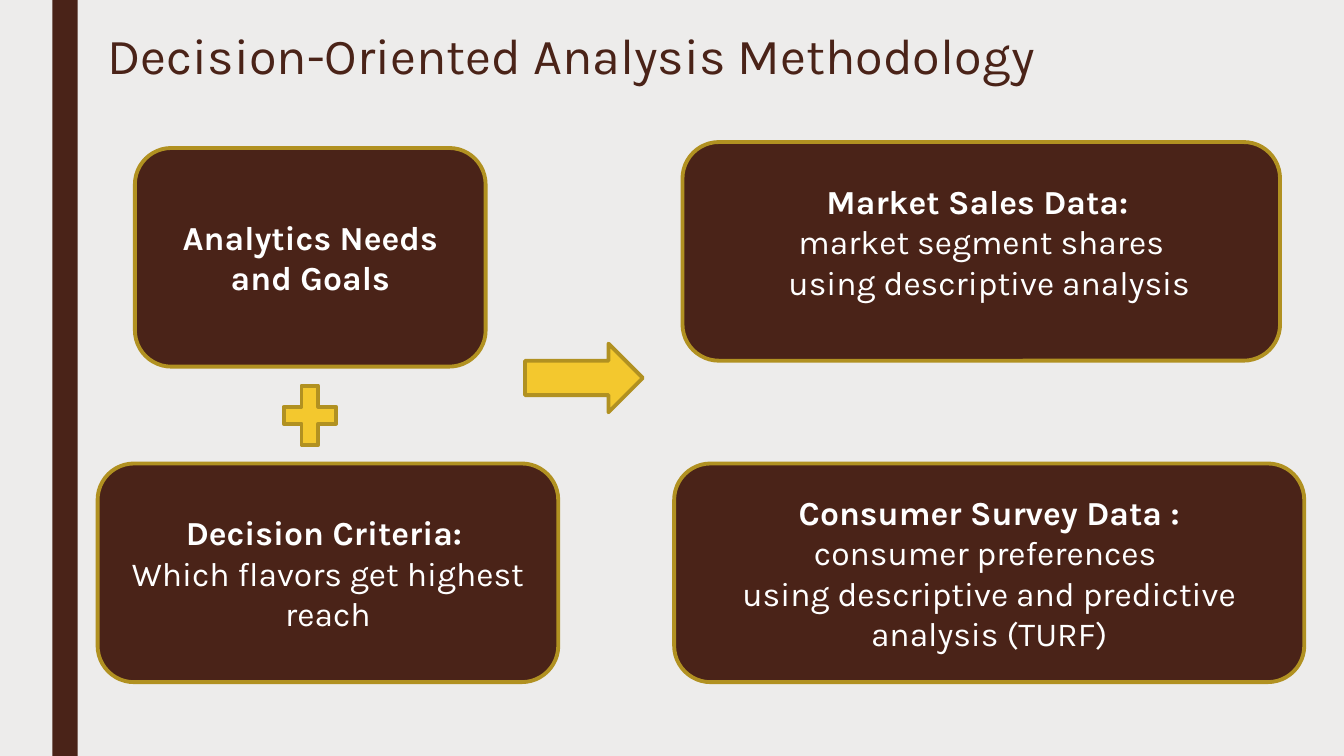
from dataclasses import dataclass

from pptx import Presentation
from pptx.dml.color import RGBColor
from pptx.enum.shapes import MSO_SHAPE
from pptx.enum.text import MSO_ANCHOR, MSO_AUTO_SIZE, PP_ALIGN
from pptx.util import Cm, Pt

RECT = MSO_SHAPE.RECTANGLE
CARD = MSO_SHAPE.ROUNDED_RECTANGLE
ARROW = MSO_SHAPE.RIGHT_ARROW
PLUS = MSO_SHAPE.MATH_PLUS
CENTER = PP_ALIGN.CENTER
LEFT = PP_ALIGN.LEFT
MIDDLE = MSO_ANCHOR.MIDDLE
TOP = MSO_ANCHOR.TOP
NO_AUTOFIT = MSO_AUTO_SIZE.NONE


@dataclass(frozen=True)
class Theme:
    background: RGBColor = RGBColor(0xED, 0xEC, 0xEB)
    brown: RGBColor = RGBColor(0x4A, 0x23, 0x18)
    gold: RGBColor = RGBColor(0xF3, 0xC8, 0x2E)
    outline: RGBColor = RGBColor(0xB1, 0x91, 0x21)
    white: RGBColor = RGBColor(0xFF, 0xFF, 0xFF)
    font: str = "Karla"
    title_size: float = 36
    body_size: float = 24
    outline_width: float = 2.75


@dataclass(frozen=True)
class Box:
    left: float
    top: float
    width: float
    height: float

    def lengths(self) -> tuple:
        return Cm(self.left), Cm(self.top), Cm(self.width), Cm(self.height)


@dataclass(frozen=True)
class Line:
    text: str
    bold: bool = False
    indent_left: float = 0
    indent_right: float = 0


@dataclass(frozen=True)
class Step:
    box: Box
    lines: tuple[Line, ...]
    bottom_inset: float = 0.13


THEME = Theme()
SLIDE_WIDTH, SLIDE_HEIGHT = 33.87, 19.05
CARD_HEIGHT = 5.51
LOWER_ROW = 11.68

SIDE_BAR = Box(1.32, 0, 0.64, SLIDE_HEIGHT)
TITLE_BOX = Box(2.46, 0.66, 31, 4.11)

STEPS = (
    Step(Box(3.4, 3.73, 8.84, CARD_HEIGHT),
         (Line("Analytics Needs and Goals", bold=True),)),
    Step(Box(17.2, 3.58, 15.06, CARD_HEIGHT),
         (Line("Market Sales Data:", bold=True, indent_right=0.2),
          Line("market segment shares"),
          Line("using descriptive analysis", indent_left=0.4)),
         bottom_inset=0.63),
    Step(Box(16.99, LOWER_ROW, 15.88, CARD_HEIGHT),
         (Line("Consumer Survey Data :", bold=True),
          Line("consumer preferences", indent_right=0.2),
          Line("using descriptive and predictive analysis (TURF)"))),
    Step(Box(2.46, LOWER_ROW, 11.61, CARD_HEIGHT),
         (Line("Decision Criteria:", bold=True, indent_right=0.2),
          Line("Which flavors get highest reach"))),
)

SYMBOLS = (
    (ARROW, Box(13.23, 8.66, 2.97, 1.73)),
    (PLUS, Box(6.91, 9.45, 1.8, 2.03)),
)


def apply_format(target, values: dict) -> None:
    for name, value in values.items():
        setattr(target, name, value)


def format_font(font, size: float, color: RGBColor, bold: bool) -> None:
    apply_format(font, {"name": THEME.font, "size": Pt(size), "bold": bold})
    font.color.rgb = color


def add_figure(slide, kind, box: Box, fill: RGBColor, outlined: bool = True):
    figure = slide.shapes.add_shape(kind, *box.lengths())
    figure.shadow.inherit = False
    figure.fill.solid()
    figure.fill.fore_color.rgb = fill
    if outlined:
        figure.line.color.rgb = THEME.outline
        figure.line.width = Pt(THEME.outline_width)
    else:
        figure.line.fill.background()
    return figure


def add_step(slide, step: Step) -> None:
    frame = add_figure(slide, CARD, step.box, THEME.brown).text_frame
    apply_format(frame, {"word_wrap": True, "vertical_anchor": MIDDLE,
                         "margin_bottom": Cm(step.bottom_inset)})
    for index, line in enumerate(step.lines):
        paragraph = frame.add_paragraph() if index else frame.paragraphs[0]
        paragraph.alignment = CENTER
        properties = paragraph._p.get_or_add_pPr()
        properties.set("marL", str(Cm(line.indent_left)))
        properties.set("marR", str(Cm(line.indent_right)))
        run = paragraph.add_run()
        run.text = line.text
        format_font(run.font, THEME.body_size, THEME.white, line.bold)


def set_title(slide, text: str) -> None:
    title = slide.shapes.title
    edges = ("left", "top", "width", "height")
    apply_format(title, dict(zip(edges, TITLE_BOX.lengths())))
    frame = title.text_frame
    apply_format(frame, {"word_wrap": True, "vertical_anchor": TOP,
                         "auto_size": NO_AUTOFIT})
    paragraph = frame.paragraphs[0]
    apply_format(paragraph, {"alignment": LEFT, "line_spacing": 0.89})
    run = paragraph.add_run()
    run.text = text
    format_font(run.font, THEME.title_size, THEME.brown, False)


def main() -> None:
    deck = Presentation()
    deck.slide_width, deck.slide_height = Cm(SLIDE_WIDTH), Cm(SLIDE_HEIGHT)
    slide = deck.slides.add_slide(deck.slide_layouts.get_by_name("Title Only"))

    # Background, side bar and title
    slide.background.fill.solid()
    slide.background.fill.fore_color.rgb = THEME.background
    add_figure(slide, RECT, SIDE_BAR, THEME.brown, outlined=False)
    set_title(slide, "Decision-Oriented Analysis Methodology")

    # Method steps
    for step in STEPS:
        add_step(slide, step)

    # Arrow and plus between the steps
    for kind, box in SYMBOLS:
        add_figure(slide, kind, box, THEME.gold)

    deck.save("out.pptx")


if __name__ == "__main__":
    main()
